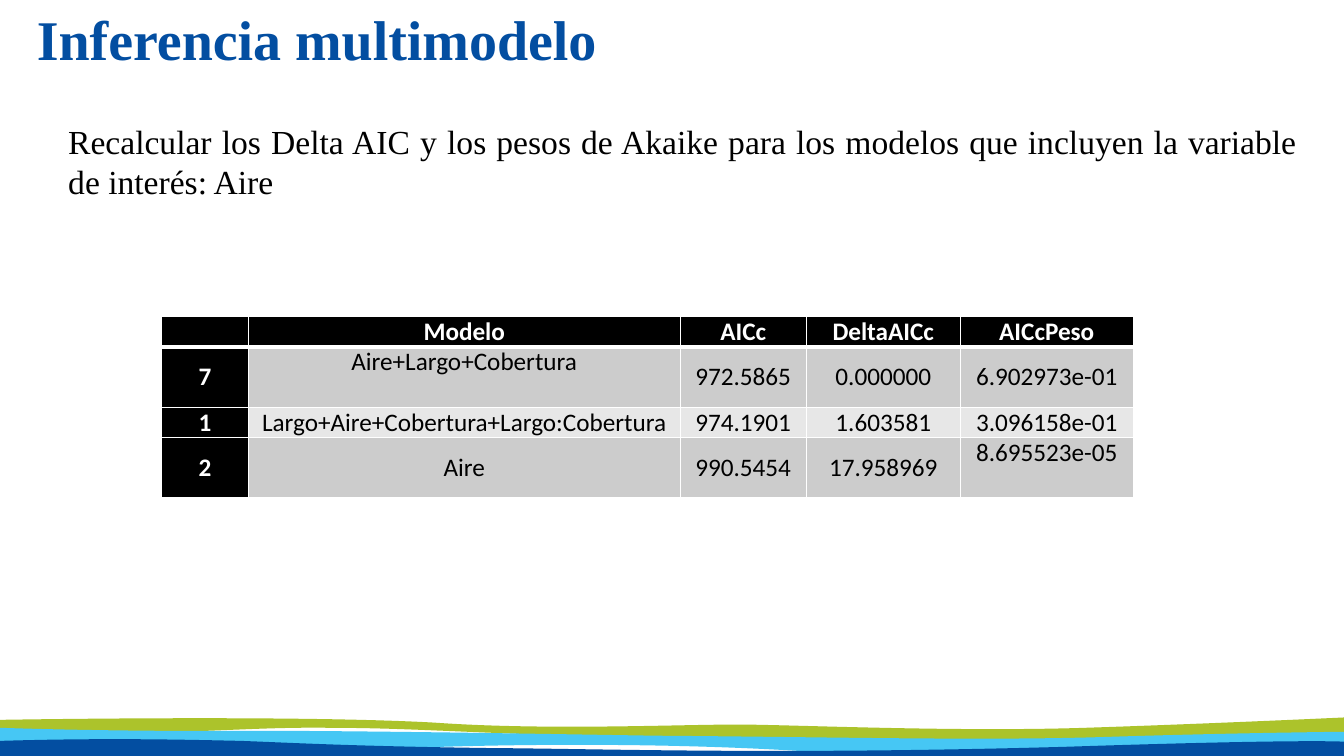
from collections import namedtuple
from dataclasses import dataclass

from lxml.etree import SubElement
from pptx import Presentation
from pptx.dml.color import RGBColor as Rgb
from pptx.enum.text import MSO_ANCHOR as Anchor, PP_ALIGN as Align
from pptx.oxml.ns import qn
from pptx.util import Cm, Pt

Box = namedtuple("Box", "left top width height")


@dataclass(frozen=True)
class Theme:
    blue: str = "034EA1"
    cyan: str = "46C7F4"
    green: str = "ACC32B"
    black: str = "000000"
    white: str = "FFFFFF"
    dark_band: str = "CCCCCC"
    light_band: str = "E7E7E7"
    serif: str = "Times New Roman"
    sans: str = "Calibri"
    title_size: int = 40
    body_size: int = 24
    table_size: int = 18
    thin_line: int = 1
    thick_line: int = 3


THEME = Theme()
SLIDE_WIDTH, SLIDE_HEIGHT = 33.87, 19.05

# Each wave is a fill and an outline in cm from the top left of its band:
# a pair is a straight line's end, six numbers are a Bézier curve.
WAVES = [
    (THEME.green, [
        (0, 0.14), (0, 0.14, 7.39, 0.01, 10.95, 0.21),
        (13.92, 0.42, 17.4, 0.24, 18.87, 0.26),
        (20.68, 0.29, 24.26, 0.44, 27.36, 0.34),
        (30.45, 0.24, 33.87, 0.08, 33.87, 0.08),
        (33.87, 0.57), (33.87, 0.57, 28.07, 0.69, 24.16, 0.67),
        (13.49, 0.67, 11.43, 0.34, 8.28, 0.34),
        (5.94, 0.31, 4.42, 0.57, 0, 0.44)]),
    (THEME.cyan, [
        (0, 0.34), (0, 0.34, 2.16, 0.42, 5.28, 0.42),
        (8.31, 0.39, 15.11, 0.52, 16.59, 0.54),
        (20.8, 0.57, 24.79, 0.67, 27.89, 0.57),
        (30.99, 0.47, 33.87, 0.44, 33.87, 0.44),
        (33.87, 0.85), (33.87, 0.85, 24.66, 1.2, 20.09, 0.92),
        (16.26, 0.69, 11.76, 0.75, 8.76, 0.92),
        (6.48, 1.08, 4.47, 0.69, 0, 0.82)]),
    (THEME.blue, [
        (0, 0.67), (0, 1.15), (33.87, 1.15), (33.87, 0.69),
        (33.87, 0.69, 32.89, 0.62, 26.82, 0.82),
        (19.56, 1.02, 15.32, 0.87, 12.29, 0.85),
        (8.76, 0.8, 7.42, 0.72, 6.07, 0.67),
        (4.72, 0.64, 2.64, 0.59, 0, 0.67)]),
]

COLUMN_WIDTHS = [2.19, 10.88, 3.18, 3.88, 4.36]
LINE_HEIGHT = 0.76
ROW_LINES = [1, 2, 1, 2]
MODELS = [
    ["", "Modelo", "AICc", "DeltaAICc", "AICcPeso"],
    ["7", "Aire+Largo+Cobertura", "972.5865", "0.000000", "6.902973e-01"],
    ["1", "Largo+Aire+Cobertura+Largo:Cobertura", "974.1901", "1.603581", "3.096158e-01"],
    ["2", "Aire", "990.5454", "17.958969", "8.695523e-05"],
]
TOP_CELLS = {(1, 1), (3, 4)}


def lengths(box):
    return [Cm(value) for value in box]


def add_run(paragraph, text, font, size, color, bold=False):
    run = paragraph.add_run()
    run.text = text
    run.font.name = font
    run.font.size = Pt(size)
    run.font.bold = bold
    run.font.color.rgb = Rgb.from_string(color)


def bend_outline(wave, outline, box):
    """Replace the straight segments that stand for curves by Bézier curves."""
    lines = list(wave._element.iter(qn("a:lnTo")))
    for line, segment in zip(lines, outline[1:]):
        if len(segment) == 2:
            continue
        line.clear()
        curve = line.makeelement(qn("a:cubicBezTo"))
        for x, y in zip(segment[::2], segment[1::2]):
            SubElement(curve, qn("a:pt"),
                       x=str(Cm(box.left + x) - wave.left),
                       y=str(Cm(box.top + y) - wave.top))
        line.getparent().replace(line, curve)


def add_waves(slide, box):
    for color, outline in WAVES:
        ends = [(Cm(box.left + segment[-2]), Cm(box.top + segment[-1]))
                for segment in outline]
        builder = slide.shapes.build_freeform(*ends[0], scale=1.0)
        builder.add_line_segments(ends[1:], close=True)
        wave = builder.convert_to_shape()
        bend_outline(wave, outline, box)
        wave.shadow.inherit = False
        wave.fill.solid()
        wave.fill.fore_color.rgb = Rgb.from_string(color)
        wave.line.fill.background()


def add_title(slide, box):
    frame = slide.shapes.add_textbox(*lengths(box)).text_frame
    frame.word_wrap = True
    frame.vertical_anchor = Anchor.MIDDLE
    frame.margin_left = frame.margin_right = frame.margin_top = frame.margin_bottom = 0
    paragraph = frame.paragraphs[0]
    paragraph.line_spacing = 0.9
    add_run(paragraph, "Inferencia multimodelo", THEME.serif, THEME.title_size,
            THEME.blue, bold=True)


def add_body(slide, box):
    frame = slide.shapes.add_textbox(*lengths(box)).text_frame
    frame.word_wrap = True
    paragraph = frame.paragraphs[0]
    paragraph.alignment = Align.JUSTIFY
    add_run(paragraph, "Recalcular los Delta AIC y los pesos de Akaike para los modelos "
            "que incluyen la variable de interés: Aire",
            THEME.serif, THEME.body_size, THEME.black)


def set_borders(cell, row):
    properties = cell._tc.get_or_add_tcPr()
    for side in "LRTB":
        is_thick = row == 0 and side == "B"
        width = THEME.thick_line if is_thick else THEME.thin_line
        line = SubElement(properties, qn(f"a:ln{side}"), w=str(Pt(width)))
        fill = SubElement(line, qn("a:solidFill"))
        SubElement(fill, qn("a:srgbClr"), val=THEME.white)


def fill_cell(cell, row, column, text):
    is_heading = row == 0 or column == 0
    band = THEME.dark_band if row % 2 else THEME.light_band
    set_borders(cell, row)
    cell.fill.solid()
    cell.fill.fore_color.rgb = Rgb.from_string(THEME.black if is_heading else band)
    cell.margin_left = cell.margin_right = Cm(0.18)
    cell.margin_top = cell.margin_bottom = 0
    at_top = row == 0 or (row, column) in TOP_CELLS
    cell.vertical_anchor = Anchor.TOP if at_top else Anchor.MIDDLE
    if text:
        paragraph = cell.text_frame.paragraphs[0]
        paragraph.alignment = Align.CENTER
        add_run(paragraph, text, THEME.sans, THEME.table_size,
                THEME.white if is_heading else THEME.black, bold=is_heading)


def add_model_table(slide, box):
    table = slide.shapes.add_table(len(MODELS), len(COLUMN_WIDTHS), *lengths(box)).table
    for column, width in zip(table.columns, COLUMN_WIDTHS):
        column.width = Cm(width)
    for row, line_count in zip(table.rows, ROW_LINES):
        row.height = Cm(line_count * LINE_HEIGHT)
    for row, texts in enumerate(MODELS):
        for column, text in enumerate(texts):
            fill_cell(table.cell(row, column), row, column, text)


def main():
    presentation = Presentation()
    presentation.slide_width = Cm(SLIDE_WIDTH)
    presentation.slide_height = Cm(SLIDE_HEIGHT)
    slide = presentation.slides.add_slide(presentation.slide_layouts[6])
    add_waves(slide, Box(0, 18, SLIDE_WIDTH, 1.15))
    add_title(slide, Box(0.93, 0.3, 32, 1.55))
    add_body(slide, Box(1.47, 2.92, 31.47, 2.31))
    add_model_table(slide, Box(4.07, 7.98, sum(COLUMN_WIDTHS), sum(ROW_LINES) * LINE_HEIGHT))
    presentation.save("out.pptx")


if __name__ == "__main__":
    main()
